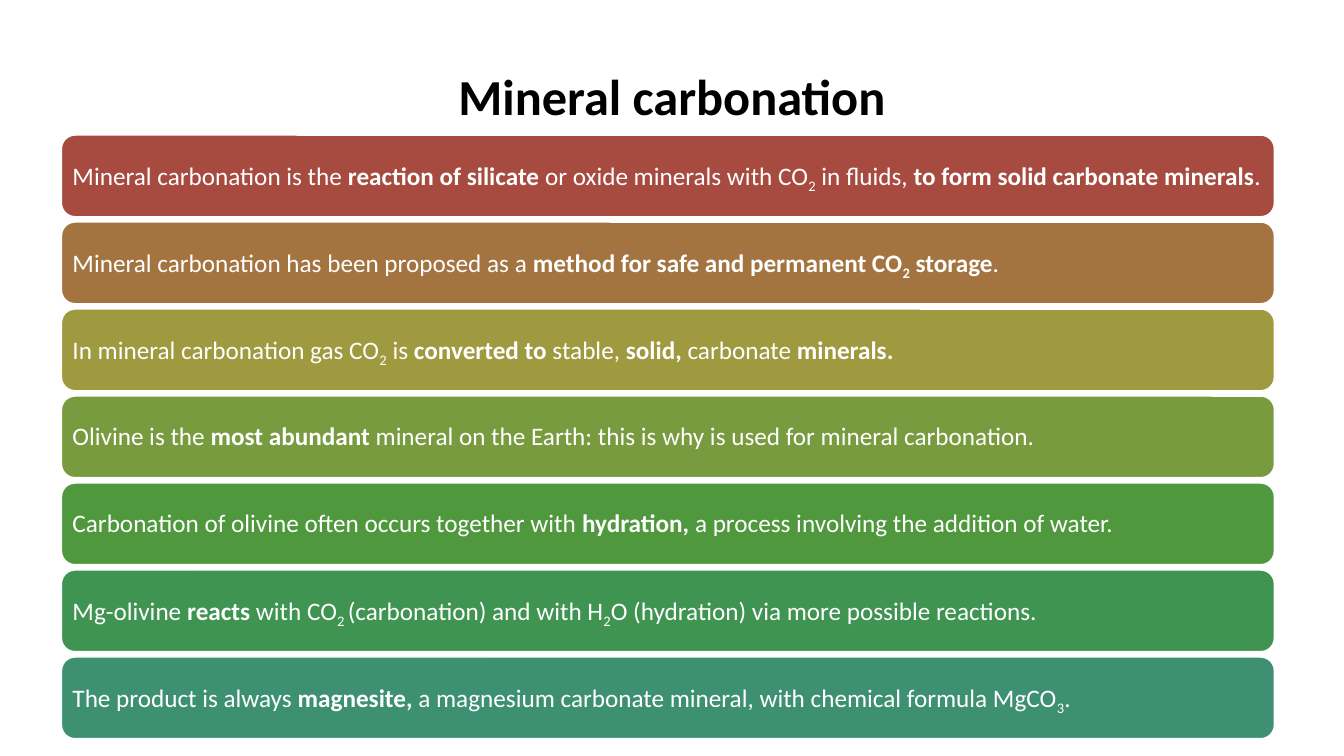
"""Builds the mineral carbonation slide: a title above seven coloured statement bars."""
from pptx import Presentation
from pptx.dml.color import RGBColor
from pptx.enum.shapes import MSO_SHAPE
from pptx.enum.text import MSO_ANCHOR, PP_ALIGN
from pptx.util import Inches, Pt

COLORS = {
    "title": "000000",
    "white": "FFFFFF",
    "red": "A74B40",
    "brown": "A37440",
    "olive": "9F9A3F",
    "lime": "799B3F",
    "green": "50983E",
    "emerald": "3E9450",
    "teal": "3D9072",
}
FONT = "Calibri"
BAR_TOP, BAR_PITCH = 1.34, 0.863

# Asterisks enclose bold text, tildes enclose subscripts.
STATEMENTS = [
    ("red", "Mineral carbonation is the *reaction of silicate *or oxide minerals with "
            "CO~2~ in fluids,* to form solid carbonate minerals*."),
    ("brown", "Mineral carbonation has been proposed as a "
              "*method for safe and permanent CO~2~ storage*."),
    ("olive", "In mineral carbonation gas CO~2~ is *converted to *stable, *solid,* "
              "carbonate *minerals.*"),
    ("lime", "Olivine is the *most abundant *mineral on the Earth: "
             "this is why is used for mineral carbonation."),
    ("green", "Carbonation of olivine often occurs together with *hydration,* "
              "a process involving the addition of water."),
    ("emerald", "Mg-olivine *reacts* with CO~2 ~(carbonation) and with H~2~O (hydration) "
                "via more possible reactions."),
    ("teal", "The product is always *magnesite, *a magnesium carbonate mineral, "
             "with chemical formula MgCO~3~."),
]


def style_font(font, size, color, bold):
    font.name = FONT
    font.size = Pt(size)
    font.bold = bold
    font.color.rgb = RGBColor.from_string(COLORS[color])


def add_marked_runs(paragraph, statement):
    for bold_index, phrase in enumerate(statement.split("*")):
        for sub_index, piece in enumerate(phrase.split("~")):
            if not piece:
                continue
            run = paragraph.add_run()
            run.text = piece
            style_font(run.font, 18, "white", bold_index % 2 == 1)
            if sub_index % 2:
                run._r.get_or_add_rPr().set("baseline", "-25000")


prs = Presentation()
prs.slide_width = Inches(13.33)
prs.slide_height = Inches(7.5)
slide = prs.slides.add_slide(prs.slide_layouts[5])

title = slide.shapes.title
title.left, title.top = Inches(1.89), Inches(0.55)
title.width, title.height = Inches(9.55), Inches(0.75)
title.text_frame.text = "Mineral carbonation"
title.text_frame.vertical_anchor = MSO_ANCHOR.BOTTOM
heading = title.text_frame.paragraphs[0]
heading.alignment = PP_ALIGN.CENTER
heading.line_spacing = 0.9
style_font(heading.runs[0].font, 36, "title", True)

for row, (color, statement) in enumerate(STATEMENTS):
    bar = slide.shapes.add_shape(
        MSO_SHAPE.ROUNDED_RECTANGLE,
        Inches(0.61), Inches(BAR_TOP + row * BAR_PITCH), Inches(12.03), Inches(0.81))
    bar.shadow.inherit = False
    bar.fill.solid()
    bar.fill.fore_color.rgb = RGBColor.from_string(COLORS[color])
    bar.line.color.rgb = RGBColor.from_string(COLORS["white"])
    bar.line.width = Pt(1)

    frame = bar.text_frame
    frame.word_wrap = True
    frame.vertical_anchor = MSO_ANCHOR.MIDDLE
    frame.margin_left = frame.margin_right = Inches(0.07)
    frame.margin_top = frame.margin_bottom = Inches(0.07)
    sentence = frame.paragraphs[0]
    sentence.alignment = PP_ALIGN.LEFT
    sentence.line_spacing = 0.9
    add_marked_runs(sentence, statement)

prs.save("out.pptx")
